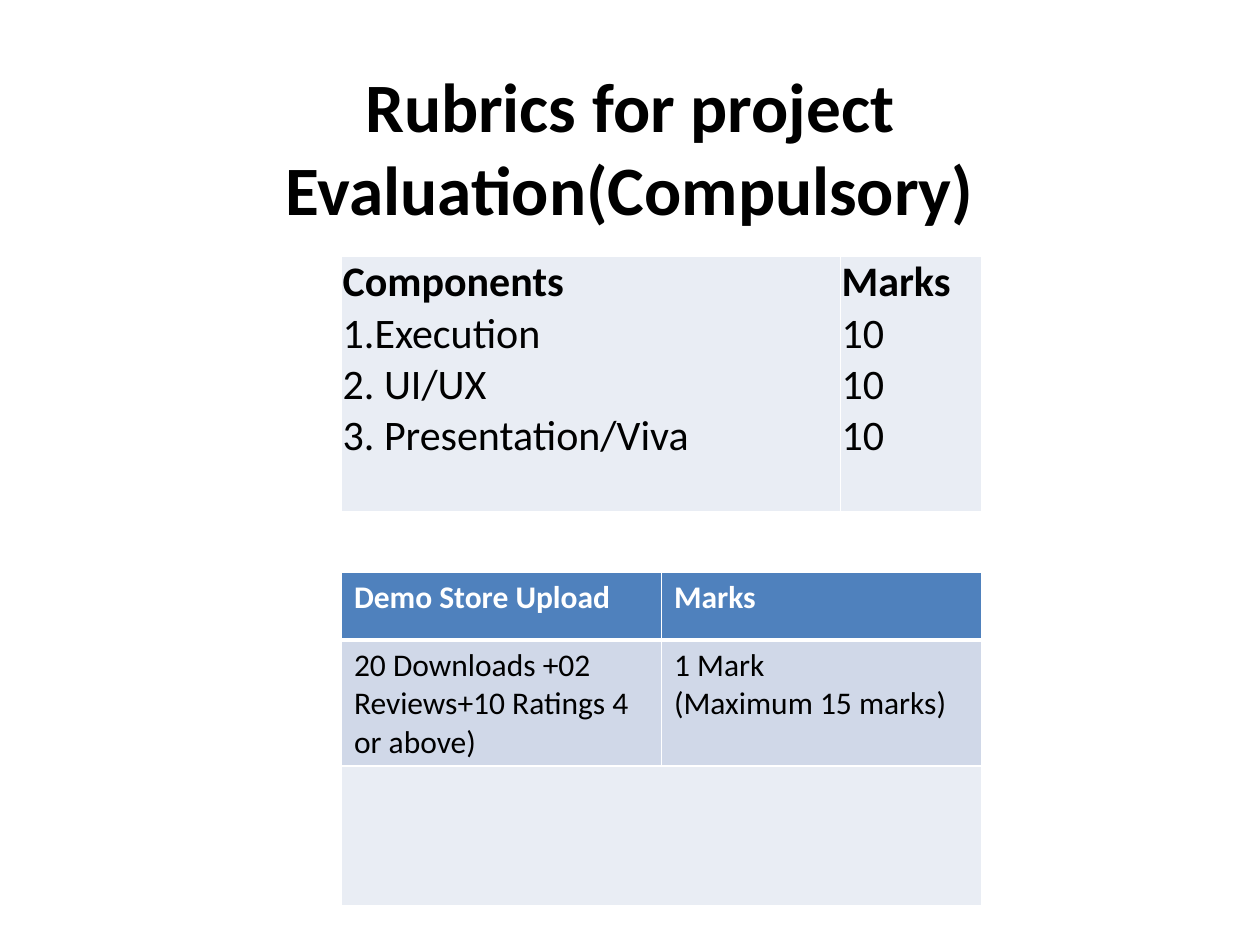
import pptx
import pptx.dml.color
import pptx.enum.text
import pptx.oxml.ns
import pptx.util
from lxml import etree

Inches = pptx.util.Inches
Pt = pptx.util.Pt
RGB = pptx.dml.color.RGBColor
ALIGN = pptx.enum.text.PP_ALIGN
ANCHOR = pptx.enum.text.MSO_ANCHOR

BLACK = RGB(0x00, 0x00, 0x00)
WHITE = RGB(0xFF, 0xFF, 0xFF)
BLUE = RGB(0x4F, 0x81, 0xBD)
MIST = RGB(0xD0, 0xD8, 0xE8)
PALE = RGB(0xE9, 0xED, 0xF4)


class Page:
    font = "Calibri"
    rule = WHITE

    def __init__(self, slide):
        self.slide = slide

    def put(self, item, values):
        for name, value in values.items():
            setattr(item, name, value)

    def label(self, para, text, size, bold, color):
        para.text = text
        self.put(para.font, {"name": self.font, "size": Pt(size), "bold": bold})
        para.font.color.rgb = color

    def title(self, text, box, size):
        shape = self.slide.shapes.add_textbox(*map(Inches, box))
        frame = shape.text_frame
        self.put(frame, {"word_wrap": True, "vertical_anchor": ANCHOR.MIDDLE})
        para = frame.paragraphs[0]
        self.label(para, text, size, True, BLACK)
        para.alignment = ALIGN.CENTER

    def edge(self, cell, side, width):
        props = cell._tc.get_or_add_tcPr()
        tag = pptx.oxml.ns.qn
        line = etree.SubElement(props, tag(f"a:ln{side}"), w=str(Pt(width)))
        fill = etree.SubElement(line, tag("a:solidFill"))
        etree.SubElement(fill, tag("a:srgbClr"), val=str(self.rule))

    def cell(self, cell, lines, size, fill, edges, pads):
        for side, width in edges.items():
            self.edge(cell, side, width)
        cell.fill.solid()
        cell.fill.fore_color.rgb = fill
        self.put(cell, pads)
        frame = cell.text_frame
        for spot, (text, bold, color) in enumerate(lines):
            para = frame.add_paragraph() if spot else frame.paragraphs[0]
            self.label(para, text, size, bold, color)

    def table(self, left, top, cols, rows, data, fills, size, pads, head=1):
        frame = self.slide.shapes.add_table(
            len(rows), len(cols), Inches(left), Inches(top),
            Inches(sum(cols)), Inches(sum(rows)))
        grid = frame.table
        self.put(grid, {"first_row": False, "horz_banding": False})
        for col, width in zip(grid.columns, cols):
            col.width = Inches(width)
        for r, (row, height) in enumerate(zip(grid.rows, rows)):
            row.height = Inches(height)
            edges = {"L": 1, "R": 1,
                     "T": head if r == 1 else 1,
                     "B": head if r == 0 else 1}
            for cell, lines in zip(row.cells, data[r]):
                self.cell(cell, lines, size, fills[r], edges, pads)
        return grid


def main():
    deck = pptx.Presentation()
    deck.slide_width, deck.slide_height = Inches(10), Inches(7.5)
    page = Page(deck.slides.add_slide(deck.slide_layouts[6]))

    page.title("Rubrics for project Evaluation(Compulsory)",
               (1.83, 0.62, 6.34, 1.08), 39.6)

    parts = {"Components": "Marks", "1.Execution": "10",
             "2. UI/UX": "10", "3. Presentation/Viva": "10"}
    lists = [[(text, spot == 0, BLACK) for spot, text in enumerate(col)]
             for col in (parts.keys(), parts.values())]
    thin = Inches(0.01)
    pads = {"margin_left": thin, "margin_right": thin,
            "margin_top": thin, "margin_bottom": 0}
    page.table(2.71, 2.03, (3.96, 1.12), (2.03,), [lists], [PALE], 24, pads)

    data = [
        [[("Demo Store Upload", True, WHITE)], [("Marks", True, WHITE)]],
        [[("20 Downloads +02 Reviews+10 Ratings 4 or above)", False, BLACK)],
         [("1 Mark\v(Maximum 15 marks)", False, BLACK)]],
        [[], []],
    ]
    grid = page.table(2.71, 4.54, (2.54, 2.54), (0.54, 1, 1.11), data,
                      [BLUE, MIST, PALE], 18, {}, head=3)
    grid.cell(2, 0).merge(grid.cell(2, 1))

    deck.save("out.pptx")


if __name__ == "__main__":
    main()
